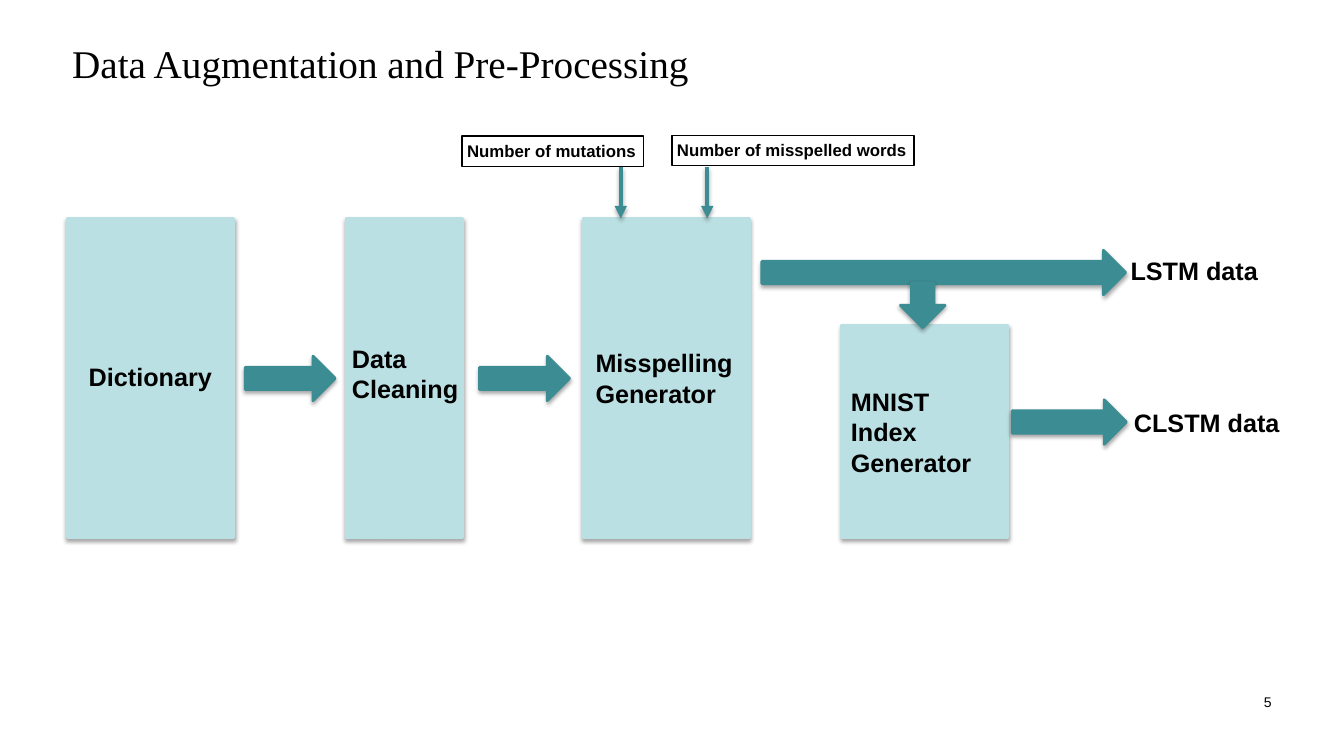
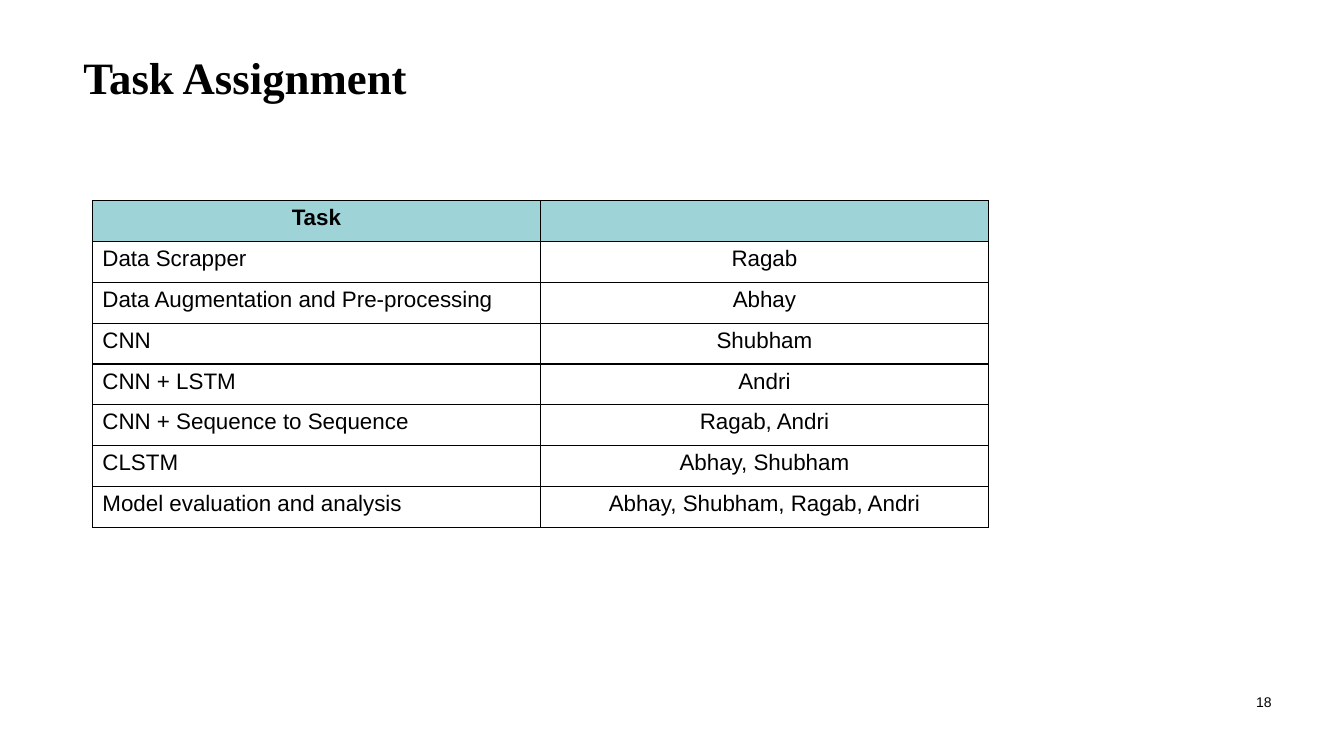
from dataclasses import dataclass

from lxml.etree import SubElement
from pptx import Presentation
from pptx.dml.color import RGBColor
from pptx.enum.shapes import MSO_CONNECTOR, MSO_SHAPE
from pptx.enum.text import MSO_ANCHOR, MSO_AUTO_SIZE, PP_ALIGN
from pptx.oxml.ns import qn
from pptx.util import Emu, Inches, Pt

RECT, ARROW = MSO_SHAPE.RECTANGLE, MSO_SHAPE.RIGHT_ARROW
LINE = MSO_CONNECTOR.STRAIGHT
LEFT, MID, RIGHT = PP_ALIGN.LEFT, PP_ALIGN.CENTER, PP_ALIGN.RIGHT

# Shared look: a grid of 80 columns by 45 rows, six to the inch
UNIT = Inches(1) // 6
COLS, ROWS = 80, 45
PAD = Inches(0.05)
SANS, SERIF = "Arial", "Times New Roman"
COLORS = {"ink": "000000", "box": "BBE0E3", "arrow": "3C8C93", "head": "9ED3D7"}


@dataclass(frozen=True)
class Area:
    col: float
    row: float
    wide: float
    high: float

    def place(self) -> tuple[Emu, Emu, Emu, Emu]:
        return grid(self.col), grid(self.row), grid(self.wide), grid(self.high)


@dataclass(frozen=True)
class Block:
    area: Area
    kind: int = RECT
    turn: int = 0


@dataclass(frozen=True)
class Label:
    text: str
    area: Area
    size: int = 18
    bold: bool = True
    align: int = LEFT
    frame: bool = False


# Slide 1: process stages, flow arrows and their labels
TOP, FOOT, FLOW, OUT = 13, 32, 21.2, 14.9
THICK, LINE_H = 2.65, 2.4
STAGES = [
    Block(Area(col, row, wide, FOOT - row))
    for col, row, wide in [(4, TOP, 9.9), (20.6, TOP, 6.95),
                           (34.7, TOP, 9.9), (50.1, 19.4, 9.9)]
]
ARROWS = [
    Block(Area(col, row, wide, THICK), ARROW, turn)
    for col, row, wide, turn in [(14.6, FLOW, 5.35, 0), (28.55, FLOW, 5.35, 0),
                                 (45.35, OUT, 21.65, 0), (53.6, 16.85, THICK, 90),
                                 (60.25, 23.8, 6.8, 0)]
]
LABELS = [
    Label("Dictionary", Area(0.65, FLOW, 16.6, LINE_H), align=MID),
    Label("Data Cleaning", Area(20.65, 20.15, 8.05, 6.05)),
    Label("Misspelling\nGenerator", Area(35.15, 20.4, 9.4, 4.25)),
    Label("MNIST Index Generator", Area(50.35, 22.7, 9.4, 6.05)),
    Label("CLSTM data", Area(67.2, 23.95, 11.9, LINE_H)),
    Label("LSTM data", Area(67, OUT, 11.9, LINE_H)),
    Label("Number of mutations", Area(27.5, 8.1, 10.8, 1.8), 12, frame=True),
    Label("Number of misspelled words", Area(40, 8.05, 14.4, 1.8), 12, frame=True),
]
INPUTS = [36.95, 42.1]

# Slide 2: table of tasks and people
TASKS = [
    ("Task", ""),
    ("Data Scrapper", "Ragab"),
    ("Data Augmentation and Pre-processing", "Abhay"),
    ("CNN", "Shubham"),
    ("CNN + LSTM", "Andri"),
    ("CNN + Sequence to Sequence", "Ragab, Andri"),
    ("CLSTM", "Abhay, Shubham"),
    ("Model evaluation and analysis", "Abhay, Shubham, Ragab, Andri"),
]
CELL_W, CELL_H = 26.67, 2.43


def grid(count: float) -> Emu:
    return Emu(round(count * UNIT))


def color(name: str) -> RGBColor:
    return RGBColor.from_string(COLORS[name])


def style(para, size: int, bold: bool, align: int, face: str = SANS) -> None:
    para.alignment = align
    font = para.font
    font.name, font.size, font.bold = face, Pt(size), bold
    font.color.rgb = color("ink")


def inset(frame) -> None:
    frame.margin_left = frame.margin_right = PAD
    frame.margin_top = frame.margin_bottom = PAD
    frame.word_wrap = True


def stroke(line, name: str, width: int) -> None:
    line.color.rgb = color(name)
    line.width = Pt(width)


def shade(shape) -> None:
    effect = SubElement(shape._element.spPr, qn("a:effectLst"))
    outer = SubElement(effect, qn("a:outerShdw"), blurRad=str(Pt(3)),
                       dist=str(Pt(1.8)), dir="5400000", rotWithShape="0")
    ink = SubElement(outer, qn("a:srgbClr"), val=COLORS["ink"])
    SubElement(ink, qn("a:alpha"), val="35000")


def draw_block(slide, block: Block, name: str) -> None:
    shape = slide.shapes.add_shape(block.kind, *block.area.place())
    shape.rotation = block.turn
    shape.fill.solid()
    shape.fill.fore_color.rgb = color(name)
    stroke(shape.line, name, 2)
    shade(shape)


def draw_label(slide, label: Label) -> None:
    box = slide.shapes.add_textbox(*label.area.place())
    inset(box.text_frame)
    box.text_frame.text = label.text
    for para in box.text_frame.paragraphs:
        style(para, label.size, label.bold, label.align)
    if label.frame:
        stroke(box.line, "ink", 1)


def draw_input(slide, col: float) -> None:
    line = slide.shapes.add_connector(LINE, grid(col), grid(9.95), grid(col), grid(TOP))
    stroke(line.line, "arrow", 3)
    SubElement(line.line._get_or_add_ln(), qn("a:tailEnd"), type="triangle")
    shade(line)


def add_page(deck, title: str, size: int, bold: bool, page: int):
    slide = deck.slides.add_slide(deck.slide_layouts[5])
    head = slide.shapes.title
    head.left, head.top, head.width, head.height = Area(4, 0, 72, 7.5).place()
    frame = head.text_frame
    inset(frame)
    frame.auto_size = MSO_AUTO_SIZE.NONE
    frame.vertical_anchor = MSO_ANCHOR.MIDDLE
    frame.text = title
    style(frame.paragraphs[0], size, bold, LEFT, SERIF)
    draw_label(slide, Label(str(page), Area(74.2, 41, 1.8, 1.6), 10, False, RIGHT))
    return slide


def edge(cell) -> None:
    props = cell._tc.get_or_add_tcPr()
    for side in ("lnL", "lnR", "lnT", "lnB"):
        line = SubElement(props, qn(f"a:{side}"), w=str(Pt(1)))
        fill = SubElement(line, qn("a:solidFill"))
        SubElement(fill, qn("a:srgbClr"), val=COLORS["ink"])


def draw_table(slide) -> None:
    area = Area(5.5, 11.95, 2 * CELL_W, len(TASKS) * CELL_H)
    table = slide.shapes.add_table(len(TASKS), 2, *area.place()).table
    table.first_row = table.horz_banding = False
    for r, texts in enumerate(TASKS):
        for c, text in enumerate(texts):
            cell = table.cell(r, c)
            edge(cell)
            if r == 0:
                cell.fill.solid()
                cell.fill.fore_color.rgb = color("head")
            else:
                cell.fill.background()
            cell.text = text
            align = MID if r == 0 or c == 1 else LEFT
            style(cell.text_frame.paragraphs[0], 16, r == 0, align)


def draw_flow(deck) -> None:
    slide = add_page(deck, "Data Augmentation and Pre-Processing", 28, False, 5)
    slide.shapes.title.text_frame.paragraphs[0].space_after = Pt(6)
    for stage in STAGES:
        draw_block(slide, stage, "box")
    for arrow in ARROWS:
        draw_block(slide, arrow, "arrow")
    for col in INPUTS:
        draw_input(slide, col)
    for label in LABELS:
        draw_label(slide, label)


def draw_tasks(deck) -> None:
    slide = add_page(deck, "Task Assignment", 32, True, 18)
    para = slide.shapes.title.text_frame.paragraphs[0]
    para.line_spacing, para.space_before = 1.5, Pt(4)
    props = para._p.get_or_add_pPr()
    props.set("marL", str(Inches(0.3)))
    props.set("indent", str(Inches(-0.19)))
    draw_table(slide)


def main() -> None:
    deck = Presentation()
    deck.slide_width, deck.slide_height = grid(COLS), grid(ROWS)
    draw_flow(deck)
    draw_tasks(deck)
    deck.save("out.pptx")


if __name__ == "__main__":
    main()
